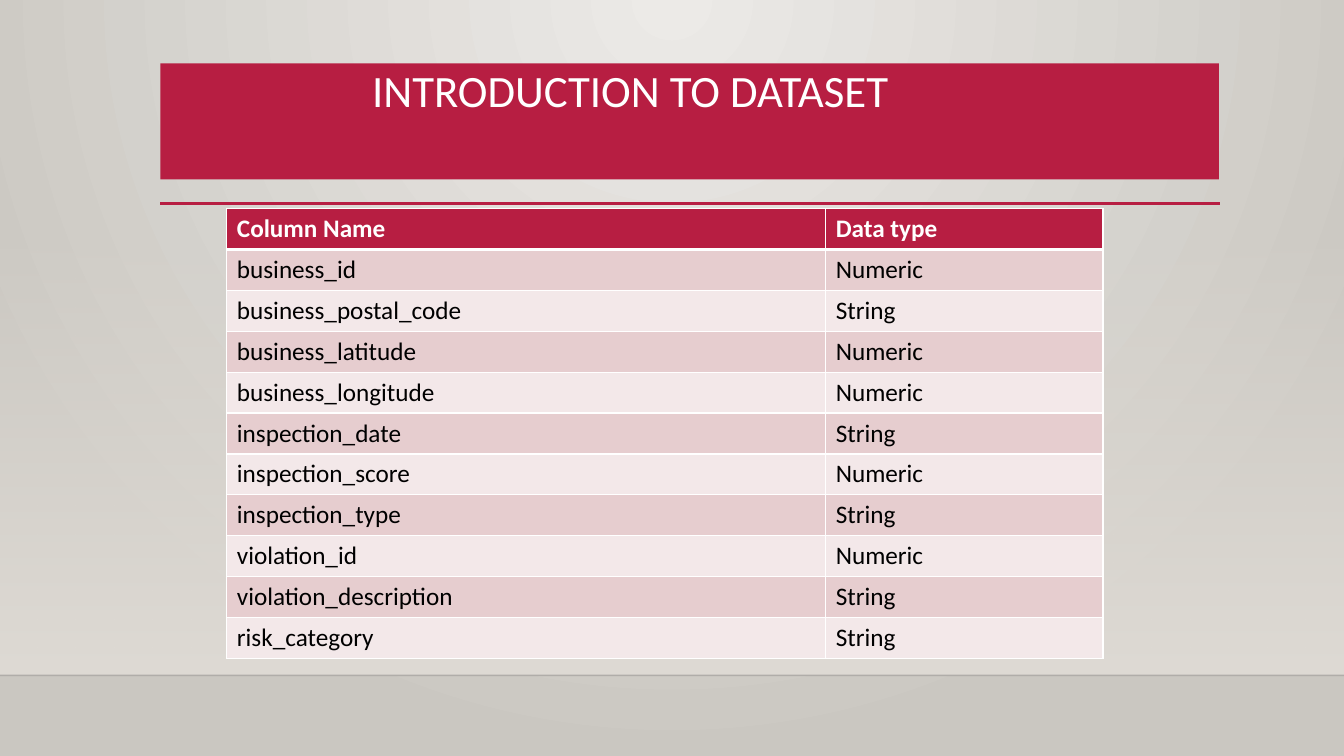
from pptx import Presentation
from pptx.dml.color import RGBColor
from pptx.enum.shapes import MSO_CONNECTOR, MSO_SHAPE
from pptx.enum.text import MSO_ANCHOR, MSO_AUTO_SIZE, PP_ALIGN
from pptx.oxml import parse_xml
from pptx.oxml.ns import nsdecls, qn
from pptx.oxml.xmlchemy import OxmlElement
from pptx.util import Inches, Pt

FONT = "Calibri"
CRIMSON = "B71E42"
WHITE = "FFFFFF"
BAND_COLORS = ("E6CDCF", "F3E8E9")
SLIDE_WIDTH = 13.33
FLOOR_TOP = 6.7
ROW_HEIGHT = 0.39
COLUMN_WIDTHS = (5.94, 2.75)
DATASET_ROWS = [
    ("Column Name", "Data type"),
    ("business_id", "Numeric"),
    ("business_postal_code", "String"),
    ("business_latitude", "Numeric"),
    ("business_longitude", "Numeric"),
    ("inspection_date", "String"),
    ("inspection_score", "Numeric"),
    ("inspection_type", "String"),
    ("violation_id", "Numeric"),
    ("violation_description", "String"),
    ("risk_category", "String"),
]


def rgb(color):
    """Turn a hex string into a colour."""
    return RGBColor.from_string(color)


def set_alpha(color_element, percent):
    """Set the opacity of a colour element."""
    alpha = OxmlElement("a:alpha")
    alpha.set("val", str(percent * 1000))
    color_element.append(alpha)


def set_gradient(fill, colors):
    """Give a fill a two-stop gradient that runs from top to bottom."""
    fill.gradient()
    fill.gradient_angle = 270
    for stop, color, position in zip(fill.gradient_stops, colors, (0, 1)):
        stop.color.rgb = rgb(color)
        stop.position = position


def set_background(slide):
    """Fill the background with a glow from the top centre."""
    set_gradient(slide.background.fill, ("ECEAE7", "CAC7C1"))
    linear = slide.element.find(".//" + qn("a:lin"))
    glow = parse_xml(
        f'<a:path {nsdecls("a")} path="circle">'
        '<a:fillToRect l="43000" t="0" r="43000" b="100000"/></a:path>'
    )
    linear.getparent().replace(linear, glow)


def add_wall(slide):
    """Add the wall panel that fades in above the floor."""
    wall = slide.shapes.add_shape(
        MSO_SHAPE.RECTANGLE, 0, Inches(2.21), Inches(SLIDE_WIDTH), Inches(4.49)
    )
    wall.shadow.inherit = False
    wall.line.fill.background()
    set_gradient(wall.fill, ("DFDBD5", "DFDBD5"))
    set_alpha(wall.element.spPr.find(".//" + qn("a:srgbClr")), 0)


def add_rule(slide, left, right, top, color, width, opacity=100):
    """Add a horizontal line."""
    rule = slide.shapes.add_connector(
        MSO_CONNECTOR.STRAIGHT, Inches(left), Inches(top), Inches(right), Inches(top)
    )
    rule.line.color.rgb = rgb(color)
    rule.line.width = Pt(width)
    properties = rule.element.spPr
    if opacity < 100:
        set_alpha(properties.find(".//" + qn("a:srgbClr")), opacity)
    properties.append(OxmlElement("a:effectLst"))


def format_paragraph(paragraph, size, color, bold=False):
    """Set the font of a paragraph."""
    font = paragraph.font
    font.name, font.size, font.bold = FONT, Pt(size), bold
    font.color.rgb = rgb(color)


def set_title(slide, text):
    """Write the title on its crimson banner."""
    title = slide.shapes.title
    title.left, title.top = Inches(1.59), Inches(0.63)
    title.width, title.height = Inches(10.5), Inches(1.15)
    title.fill.solid()
    title.fill.fore_color.rgb = rgb(CRIMSON)
    frame = title.text_frame
    frame.text = text
    frame.word_wrap = True
    frame.auto_size = MSO_AUTO_SIZE.NONE
    frame.vertical_anchor = MSO_ANCHOR.TOP
    paragraph = frame.paragraphs[0]
    paragraph.alignment = PP_ALIGN.LEFT
    paragraph.line_spacing = 0.9
    paragraph._p.get_or_add_pPr().set("marL", str(Inches(2)))
    format_paragraph(paragraph, 32, WHITE)


def set_borders(cell, bottom_width):
    """Draw white borders around a cell."""
    properties = cell._tc.get_or_add_tcPr()
    widths = {"lnL": 1, "lnR": 1, "lnT": 1, "lnB": bottom_width}
    for index, (side, width) in enumerate(widths.items()):
        border = parse_xml(
            f'<a:{side} {nsdecls("a")} w="{Pt(width)}"><a:solidFill>'
            f'<a:srgbClr val="{WHITE}"/></a:solidFill></a:{side}>'
        )
        properties.insert(index, border)


def add_dataset_table(slide):
    """Add the table of columns and their data types."""
    table = slide.shapes.add_table(
        len(DATASET_ROWS), len(COLUMN_WIDTHS), Inches(2.25), Inches(2.07),
        Inches(sum(COLUMN_WIDTHS)), Inches(ROW_HEIGHT * len(DATASET_ROWS)),
    ).table
    for column, width in zip(table.columns, COLUMN_WIDTHS):
        column.width = Inches(width)
    for row_index, values in enumerate(DATASET_ROWS):
        header = row_index == 0
        table.rows[row_index].height = Inches(ROW_HEIGHT)
        for column_index, value in enumerate(values):
            cell = table.cell(row_index, column_index)
            cell.text = value
            cell.fill.solid()
            cell.fill.fore_color.rgb = rgb(
                CRIMSON if header else BAND_COLORS[(row_index - 1) % 2]
            )
            format_paragraph(
                cell.text_frame.paragraphs[0], 18, WHITE if header else "000000", header
            )
            # The line under the header belongs to both cells that meet there.
            set_borders(cell, 3 if header else 1)
            if row_index == 1:
                cell._tc.tcPr.find(qn("a:lnT")).set("w", str(Pt(3)))


def main():
    """Build the slide and save it."""
    presentation = Presentation()
    presentation.slide_width = Inches(SLIDE_WIDTH)
    presentation.slide_height = Inches(7.5)
    slide = presentation.slides.add_slide(presentation.slide_layouts[5])
    set_background(slide)
    add_wall(slide)
    add_rule(slide, 0, SLIDE_WIDTH, FLOOR_TOP, "000001", 1, opacity=20)
    add_rule(slide, 1.59, 12.1, 2.02, CRIMSON, 2.5)
    set_title(slide, "INTRODUCTION TO DATASET")
    add_dataset_table(slide)
    presentation.save("out.pptx")


if __name__ == "__main__":
    main()
